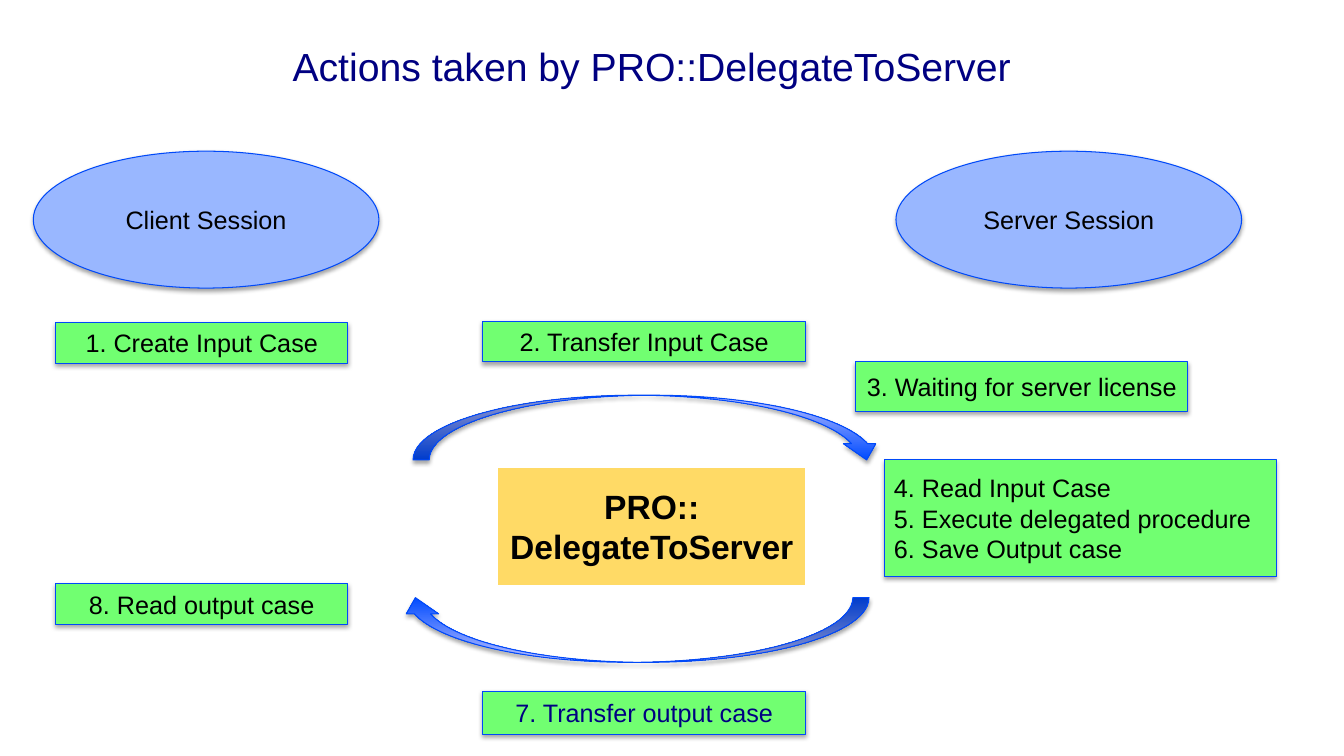
from lxml import etree
from pptx import Presentation
from pptx.dml.color import RGBColor
from pptx.enum.shapes import MSO_SHAPE
from pptx.enum.text import MSO_ANCHOR, PP_ALIGN
from pptx.oxml.ns import qn
from pptx.util import Cm, Pt

BLACK = RGBColor(0x00, 0x00, 0x00)
NAVY = RGBColor(0x00, 0x00, 0x81)
GREEN = RGBColor(0x71, 0xFF, 0x71)
SESSION_BLUE = RGBColor(0x99, 0xB7, 0xFF)
OUTLINE_BLUE = RGBColor(0x00, 0x49, 0xF9)
ARROW_DARK = RGBColor(0x00, 0x4B, 0xFF)
ARROW_LIGHT = RGBColor(0xBD, 0xC1, 0xFF)
YELLOW = RGBColor(0xFF, 0xDA, 0x66)

RECTANGLE = MSO_SHAPE.RECTANGLE
OVAL = MSO_SHAPE.OVAL
PROCESS = MSO_SHAPE.FLOWCHART_PROCESS
CURVED_ARROW = MSO_SHAPE.CURVED_DOWN_ARROW
CENTER = PP_ALIGN.CENTER
LEFT = PP_ALIGN.LEFT
MIDDLE = MSO_ANCHOR.MIDDLE
TOP = MSO_ANCHOR.TOP

FONT = "Arial"
SESSION_SIZE = (8.71, 3.45)
SIDE_STEP_SIZE = (7.37, 1.02)
ARROW_SIZE = (11.84, 1.63)


def write_text(shape, *lines, size=18, color=BLACK, bold=False, align=CENTER, anchor=MIDDLE):
    """Write one paragraph per line with a common format."""
    frame = shape.text_frame
    frame.word_wrap = True
    frame.vertical_anchor = anchor
    for index, line in enumerate(lines):
        paragraph = frame.add_paragraph() if index else frame.paragraphs[0]
        paragraph.text = line
        paragraph.alignment = align
        for run in paragraph.runs:
            run.font.name = FONT
            run.font.size = Pt(size)
            run.font.bold = bold
            run.font.color.rgb = color


def add_shadow(shape):
    """Give a shape a soft shadow falling straight down."""
    shape.shadow.inherit = False
    effects = shape._element.spPr.find(qn("a:effectLst"))
    shadow = etree.SubElement(effects, qn("a:outerShdw"), blurRad="40000", dist="23000",
                              dir="5400000", rotWithShape="0")
    color = etree.SubElement(shadow, qn("a:srgbClr"), val="000000")
    etree.SubElement(color, qn("a:alpha"), val="35000")


def add_outlined(slide, kind, left, top, size):
    """Add a blue-outlined shape with a shadow."""
    shape = slide.shapes.add_shape(kind, Cm(left), Cm(top), Cm(size[0]), Cm(size[1]))
    shape.line.color.rgb = OUTLINE_BLUE
    shape.line.width = Pt(0.75)
    add_shadow(shape)
    return shape


def add_session(slide, left, top, name):
    """Add the ellipse that names a session."""
    session = add_outlined(slide, OVAL, left, top, SESSION_SIZE)
    session.fill.solid()
    session.fill.fore_color.rgb = SESSION_BLUE
    write_text(session, name)


def add_step(slide, left, top, size, *lines, **text_format):
    """Add a green box holding one or more steps."""
    step = add_outlined(slide, RECTANGLE, left, top, size)
    step.fill.solid()
    step.fill.fore_color.rgb = GREEN
    write_text(step, *lines, **text_format)


def add_curved_arrow(slide, left, top, rotation=0):
    """Add a curved gradient arrow."""
    arrow = add_outlined(slide, CURVED_ARROW, left, top, ARROW_SIZE)
    arrow.rotation = rotation
    arrow.fill.gradient()
    arrow.fill.gradient_angle = 90
    for stop, color, position in zip(arrow.fill.gradient_stops, (ARROW_DARK, ARROW_LIGHT), (0, 1)):
        stop.color.rgb = color
        stop.position = position


def add_title(slide, left, top, width, height):
    """Add the slide title."""
    title = slide.shapes.add_textbox(Cm(left), Cm(top), Cm(width), Cm(height))
    title.text_frame.margin_top = Cm(0.25)
    title.text_frame.margin_bottom = 0
    write_text(title, "Actions taken by PRO::DelegateToServer", size=28, color=NAVY, anchor=TOP)


def add_client_side(slide, left, top, width, height):
    """Add the client session with its first and last steps."""
    step_left = left + 0.56
    add_session(slide, left, top, "Client Session")
    add_step(slide, step_left, top + 4.32, SIDE_STEP_SIZE, "1. Create Input Case")
    add_step(slide, step_left, top + height - SIDE_STEP_SIZE[1], SIDE_STEP_SIZE,
             "8. Read output case")


def add_transfer_cycle(slide, left, top, width, height):
    """Add the delegated call between two arrows and two transfer steps."""
    step_left = left + 2.11
    add_step(slide, step_left, top, (8.13, 1.02), "2. Transfer Input Case")
    add_curved_arrow(slide, left + width - ARROW_SIZE[0], top + 1.86)
    call = slide.shapes.add_shape(PROCESS, Cm(left + 2.49), Cm(top + 3.69), Cm(7.75), Cm(2.95))
    call.shadow.inherit = False
    call.fill.solid()
    call.fill.fore_color.rgb = YELLOW
    call.line.fill.background()
    write_text(call, "PRO::\vDelegateToServer", size=24, bold=True)
    add_curved_arrow(slide, left, top + 6.96, rotation=180)
    add_step(slide, step_left, top + height - 1.09, (8.13, 1.09), "7. Transfer output case",
             color=NAVY)


def add_server_side(slide, left, top, width, height):
    """Add the server session with the steps it runs."""
    work_size = (9.88, 2.95)
    add_session(slide, left + 1.02, top, "Server Session")
    add_step(slide, left, top + 5.31, (8.38, 1.24), "3. Waiting for server license")
    add_step(slide, left + width - work_size[0], top + height - work_size[1], work_size,
             "4. Read Input Case", "5. Execute delegated procedure", "6. Save Output case",
             align=LEFT)


def main():
    """Build and save the presentation."""
    presentation = Presentation()
    presentation.slide_width = Cm(33.87)
    presentation.slide_height = Cm(19.05)
    slide = presentation.slides.add_slide(presentation.slide_layouts[6])
    add_title(slide, 1.52, 0.81, 29.8, 1.24)
    add_client_side(slide, 0.84, 3.81, 8.71, 11.92)
    add_transfer_cycle(slide, 10.06, 8.1, 12.19, 10.41)
    add_server_side(slide, 21.56, 3.81, 10.6, 10.72)
    presentation.save("out.pptx")


if __name__ == "__main__":
    main()
